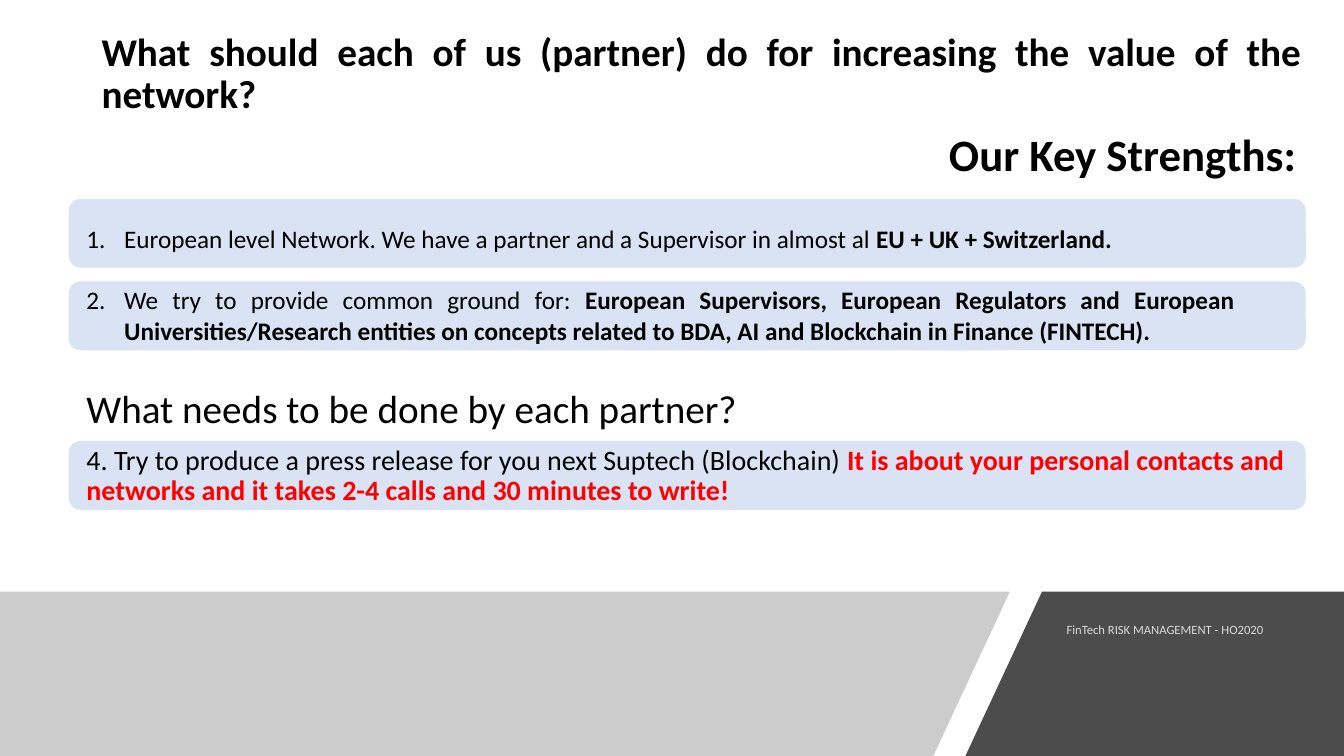
from lxml import etree
from pptx import Presentation
from pptx import util as u
from pptx.dml.color import RGBColor
from pptx.enum import text
from pptx.enum import shapes
from pptx.oxml import ns

COLORS = {
    "text": "000000",
    "accent": "FF0000",
    "band": "DAE3F3",
    "grey": "808080",
    "dark": "000000",
    "footer": "FFFFFF",
}
LEFT, RIGHT, JUSTIFY = text.PP_ALIGN.LEFT, text.PP_ALIGN.RIGHT, text.PP_ALIGN.JUSTIFY


class SlideBuilder:
    font = "Calibri"

    def __init__(self, slide):
        self.slide = slide

    def color(self, name):
        return RGBColor.from_string(COLORS[name])

    def set_alpha(self, element, percent):
        for color in element.iter(ns.qn("a:srgbClr")):
            etree.SubElement(color, ns.qn("a:alpha"), val=str(percent * 1000))

    def band(self, left, top, width, height):
        shape = self.slide.shapes.add_shape(
            shapes.MSO_SHAPE.ROUNDED_RECTANGLE,
            u.Cm(left), u.Cm(top), u.Cm(width), u.Cm(height))
        shape.shadow.inherit = False
        shape.fill.solid()
        shape.fill.fore_color.rgb = self.color("band")
        shape.line.color.rgb = self.color("band")
        shape.line.width = u.Pt(1)

    def polygon(self, points, color, alpha):
        start, *rest = [(u.Cm(x), u.Cm(y)) for x, y in points]
        builder = self.slide.shapes.build_freeform(*start)
        builder.add_line_segments(rest, close=True)
        shape = builder.convert_to_shape()
        shape.shadow.inherit = False
        shape.line.fill.background()
        shape.fill.solid()
        shape.fill.fore_color.rgb = self.color(color)
        self.set_alpha(shape.fill._xPr, alpha)

    def text_box(self, left, top, width, height, middle=False):
        shape = self.slide.shapes.add_textbox(
            u.Cm(left), u.Cm(top), u.Cm(width), u.Cm(height))
        frame = shape.text_frame
        frame.word_wrap = True
        if middle:
            frame.vertical_anchor = text.MSO_ANCHOR.MIDDLE
        return frame

    def paragraph(self, frame, content, size, align=LEFT, bold=False, color="text",
                  spacing=1.0, before=0, after=0, emphasis="", emphasis_color=None):
        first = frame.paragraphs[0]
        paragraph = frame.add_paragraph() if first.runs else first
        paragraph.alignment = align
        paragraph.line_spacing = spacing
        paragraph.space_before = u.Pt(before)
        paragraph.space_after = u.Pt(after)
        paragraph.font.name = self.font
        paragraph.font.size = u.Pt(size)
        paragraph.font.bold = bold
        paragraph.font.color.rgb = self.color(color)
        paragraph.add_run().text = content
        if emphasis:
            run = paragraph.add_run()
            run.text = emphasis
            run.font.bold = True
            if emphasis_color:
                run.font.color.rgb = self.color(emphasis_color)
        return paragraph

    def number(self, paragraph, indent):
        properties = paragraph._p.get_or_add_pPr()
        properties.set("marL", str(u.Cm(indent)))
        properties.set("indent", str(-u.Cm(indent)))
        bullet = etree.Element(ns.qn("a:buAutoNum"), type="arabicPeriod")
        properties.find(ns.qn("a:defRPr")).addprevious(bullet)


def main():
    presentation = Presentation()
    presentation.slide_width = u.Cm(33.87)
    presentation.slide_height = u.Cm(19.05)
    slide = presentation.slides.add_slide(presentation.slide_layouts[6])
    builder = SlideBuilder(slide)

    for top in (11.13, 7.11, 5.03):
        builder.band(1.75, top, 31.14, 1.7)

    top, bottom = 14.91, 19.05
    builder.polygon([(0, top), (25.45, top), (23.52, bottom), (0, bottom)], "grey", 40)
    builder.polygon([(26.26, top), (33.87, top), (33.87, bottom), (24.33, bottom)], "dark", 70)

    footer = builder.text_box(26.16, 15.37, 5.92, 1.02, middle=True)
    credit = builder.paragraph(footer, "FinTech RISK MANAGEMENT - HO2020", 9, RIGHT,
                               color="footer", spacing=0.9, after=6)
    builder.set_alpha(credit._p, 80)

    title = builder.text_box(2.31, 0.69, 30.73, 2.39)
    builder.paragraph(
        title, "What should each of us (partner) do for increasing the value of the network?",
        28, JUSTIFY, bold=True, spacing=0.9)

    strengths = [
        ("European level Network. We have a partner and a Supervisor in almost al ",
         "EU + UK + Switzerland."),
        ("We try to provide common ground for: ",
         "European Supervisors, European Regulators and European Universities/Research "
         "entities on concepts related to BDA, AI and Blockchain in Finance (FINTECH)."),
    ]
    strength_list = builder.text_box(1.93, 5.51, 29.44, 3.33)
    for index, (content, emphasis) in enumerate(strengths):
        item = builder.paragraph(strength_list, content, 18, JUSTIFY,
                                 before=22 * index, emphasis=emphasis)
        builder.number(item, 0.95)

    tasks = builder.text_box(1.93, 9.7, 30.73, 3.78)
    builder.paragraph(tasks, "What needs to be done by each partner?", 28, spacing=0.9)
    builder.paragraph(
        tasks, "4. Try to produce a press release for you next Suptech (Blockchain) ",
        20, spacing=0.9, before=10, emphasis_color="accent",
        emphasis="It is about your personal contacts and networks and it takes "
                 "2-4 calls and 30 minutes to write!")

    heading = builder.text_box(22.12, 3.07, 10.8, 1.63)
    builder.paragraph(heading, "Our Key Strengths:", 32, RIGHT, bold=True)

    presentation.save("out.pptx")


if __name__ == "__main__":
    main()
